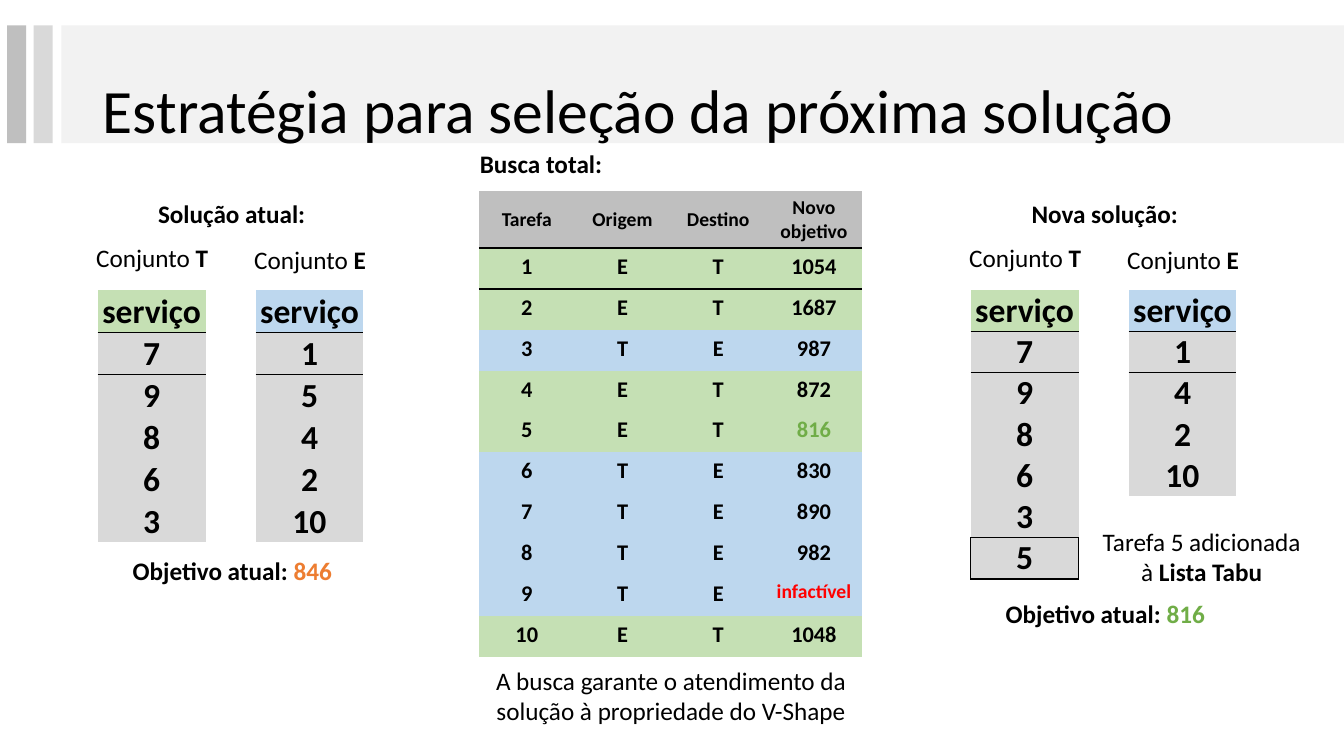
from collections import namedtuple

from lxml import etree
from pptx import Presentation
from pptx.dml.color import RGBColor
from pptx.enum.shapes import MSO_SHAPE
from pptx.enum.text import MSO_ANCHOR, MSO_AUTO_SIZE, PP_ALIGN
from pptx.oxml.ns import qn
from pptx.util import Cm, Pt

RECTANGLE = MSO_SHAPE.RECTANGLE
LEFT, CENTER = PP_ALIGN.LEFT, PP_ALIGN.CENTER
TOP, MIDDLE, BOTTOM = MSO_ANCHOR.TOP, MSO_ANCHOR.MIDDLE, MSO_ANCHOR.BOTTOM
NO_AUTOFIT = MSO_AUTO_SIZE.NONE

FONT = "Calibri"
BLACK, RED, ORANGE, LEAF = "000000", "FF0000", "ED7D31", "70AD47"
GREEN, BLUE = "C5E0B4", "BDD7EE"
PALE, LIGHT, GREY = "F2F2F2", "D9D9D9", "BFBFBF"
NO_STYLE = "{2D5ABB26-0587-4C30-8999-92F81FD0307C}"
LABEL_HEIGHT = 1.02

Box = namedtuple("Box", "left top width height")
Span = namedtuple("Span", "text bold color", defaults=(False, BLACK))

SEARCH = [
    ("1", "E", "T", "1054"),
    ("2", "E", "T", "1687"),
    ("3", "T", "E", "987"),
    ("4", "E", "T", "872"),
    ("5", "E", "T", "816"),
    ("6", "T", "E", "830"),
    ("7", "T", "E", "890"),
    ("8", "T", "E", "982"),
    ("9", "T", "E", "infactível"),
    ("10", "E", "T", "1048"),
]


def rgb(color):
    return RGBColor.from_string(color)


def lengths(box):
    return [Cm(value) for value in box]


def write(frame, spans, size, align=CENTER):
    para = frame.paragraphs[0]
    para.alignment = align
    for span in spans:
        run = para.add_run()
        run.text = span.text
        run.font.name = FONT
        run.font.size = Pt(size)
        run.font.bold = span.bold
        run.font.color.rgb = rgb(span.color)
    return para


def add_label(slide, box, spans, wrap=False):
    frame = slide.shapes.add_textbox(*lengths(box)).text_frame
    frame.word_wrap = wrap
    write(frame, spans, 18)


def add_table(slide, box, rows, columns):
    frame = slide.shapes.add_table(rows, columns, *lengths(box))
    table = frame.table
    table.first_row = False
    table.horz_banding = False
    frame.element.find(".//" + qn("a:tableStyleId")).text = NO_STYLE
    return table


def set_cell(cell, span, size, fill, anchor):
    cell.fill.solid()
    cell.fill.fore_color.rgb = rgb(fill)
    cell.vertical_anchor = anchor
    write(cell.text_frame, [span], size)


def draw_borders(cell, sides):
    properties = cell._tc.get_or_add_tcPr()
    for position, side in enumerate(sides):
        line = etree.Element(qn("a:ln" + side), w=str(Pt(1)))
        fill = etree.SubElement(line, qn("a:solidFill"))
        etree.SubElement(fill, qn("a:srgbClr"), val=BLACK)
        properties.insert(position, line)


def add_header(slide, box, text):
    group = slide.shapes.add_group_shape()
    bars = [(1.37, box.width - 1.37, PALE), (0.67, 0.48, LIGHT), (0, 0.48, GREY)]
    for offset, width, color in bars:
        area = Box(box.left + offset, box.top, width, box.height)
        bar = group.shapes.add_shape(RECTANGLE, *lengths(area))
        bar.shadow.inherit = False
        bar.fill.solid()
        bar.fill.fore_color.rgb = rgb(color)
        bar.line.fill.background()

    title = slide.shapes.title
    title.element.getparent().append(title.element)
    area = Box(box.left + 2.16, box.top + 0.38, 29.21, 3.68)
    title.left, title.top, title.width, title.height = lengths(area)
    frame = title.text_frame
    frame.auto_size = NO_AUTOFIT
    frame.vertical_anchor = MIDDLE
    write(frame, [Span(text)], 44, LEFT).line_spacing = 0.9


def add_service_table(slide, box, tasks, color, row_height, added):
    table = add_table(slide, box, len(tasks) + 1, 1)
    for index, text in enumerate(["serviço", *tasks]):
        table.rows[index].height = Cm(row_height)
        cell = table.cell(index, 0)
        cell.margin_left = cell.margin_right = Cm(0.02)
        cell.margin_top = cell.margin_bottom = 0
        fill = LIGHT if index else color
        set_cell(cell, Span(text, True), 24, fill, BOTTOM)
        if text == added:
            draw_borders(cell, "LRTB")
        elif index == 0 or tasks[index:index + 1] == [added]:
            draw_borders(cell, "B")
        elif index == 1:
            draw_borders(cell, "T")


def add_solution(slide, box, title, sets, objective, row_height, added=None):
    add_label(slide, Box(box.left + 1.56, box.top, 4.24, LABEL_HEIGHT),
              [Span(title, True)])
    for index, (name, color, tasks) in enumerate(sets):
        left = box.left + index * 3.98
        add_label(slide, Box(left, box.top + 1.09 + index * 0.07, 3.35, LABEL_HEIGHT),
                  [Span("Conjunto "), Span(name, True)])
        height = row_height * (len(tasks) + 1)
        add_service_table(slide, Box(left + 0.3, box.top + 2.43, 2.72, height),
                          tasks, color, row_height, added)
    bottom = box.top + box.height
    add_label(slide, Box(box.left + 0.9, bottom - LABEL_HEIGHT, 5.59, LABEL_HEIGHT),
              [Span("Objetivo atual: ", True), objective])
    if added:
        add_label(slide, Box(box.left + 3.33, bottom - 2.83, 5.59, 1.8),
                  [Span(f"Tarefa {added} adicionada à "), Span("Lista Tabu", True)], True)


def add_search(slide, box):
    add_label(slide, Box(box.left - 0.25, box.top, 3.63, LABEL_HEIGHT),
              [Span("Busca total:", True)])
    heading = ("Tarefa", "Origem", "Destino", "Novo objetivo")
    table = add_table(slide, Box(box.left, box.top + 1.2, box.width, 11.73),
                      len(SEARCH) + 1, len(heading))
    highlights = {"816": LEAF, "infactível": RED}
    for row_index, values in enumerate([heading, *SEARCH]):
        header = row_index == 0
        table.rows[row_index].height = Cm(1.42 if header else 1.03)
        fill = GREY if header else GREEN if values[1] == "E" else BLUE
        for column_index, text in enumerate(values):
            cell = table.cell(row_index, column_index)
            size = 14 if header or text == "infactível" else 16
            span = Span(text, True, highlights.get(text, BLACK))
            set_cell(cell, span, size, fill, MIDDLE if header else TOP)
            if row_index < 2:
                draw_borders(cell, "B")
    add_label(slide, Box(box.left - 0.33, box.top + box.height - 1.8, 10.34, 1.8),
              [Span("A busca garante o atendimento da solução à propriedade do V-Shape")],
              True)


def main():
    deck = Presentation()
    deck.slide_width, deck.slide_height = Cm(33.87), Cm(19.05)
    page = deck.slides.add_slide(deck.slide_layouts[5])
    add_header(page, Box(0.18, 0.64, 33.69, 2.97),
               "Estratégia para seleção da próxima solução")
    add_solution(page, Box(2.16, 4.88, 7.33, 10.01), "Solução atual:",
                 [("T", GREEN, ["7", "9", "8", "6", "3"]),
                  ("E", BLUE, ["1", "5", "4", "2", "10"])],
                 Span("846", True, ORANGE), 1.06)
    add_search(page, Box(12.07, 3.61, 9.65, 14.83))
    add_solution(page, Box(24.16, 4.88, 7.33, 11.08), "Nova solução:",
                 [("T", GREEN, ["7", "9", "8", "6", "3", "5"]),
                  ("E", BLUE, ["1", "4", "2", "10"])],
                 Span("816", True, LEAF), 1.04, "5")
    deck.save("out.pptx")


if __name__ == "__main__":
    main()
